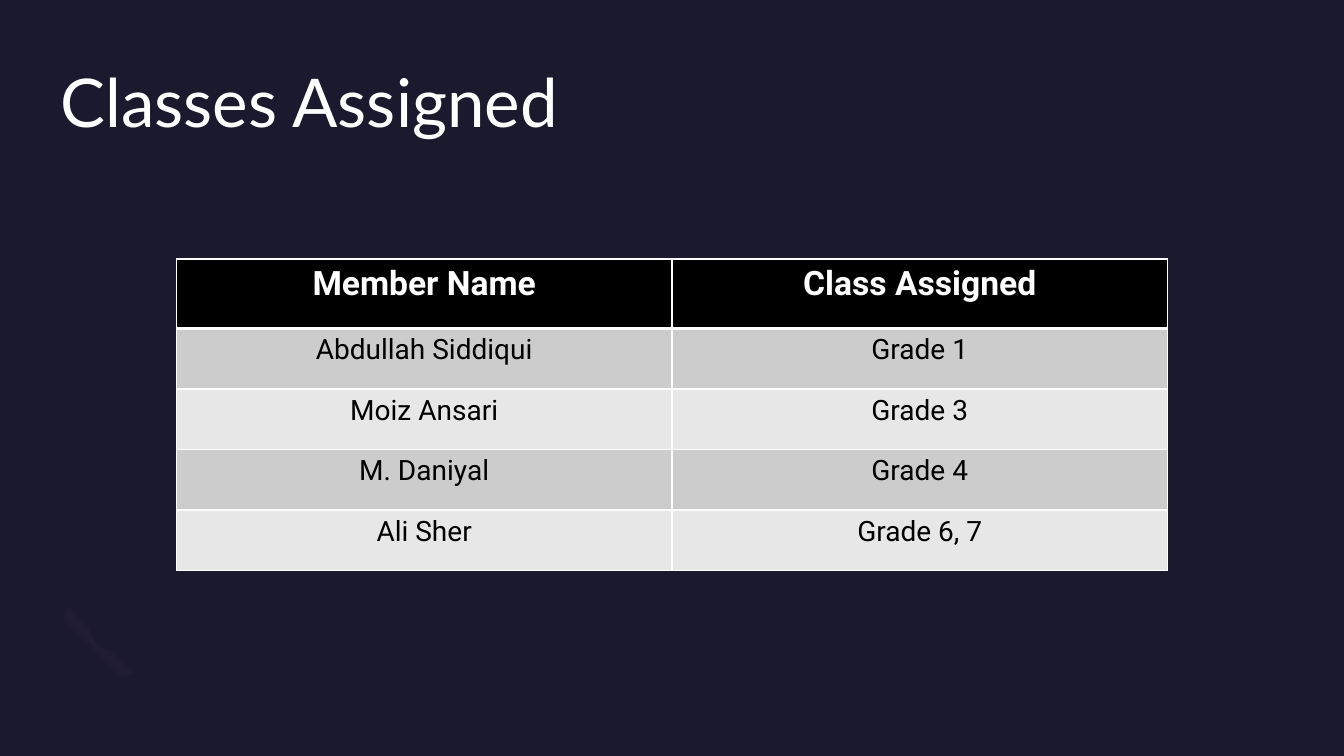
from copy import deepcopy
from math import cos, pi, sin

from lxml.etree import SubElement
from pptx import Presentation
from pptx.dml.color import RGBColor
from pptx.enum.shapes import MSO_SHAPE as Shape
from pptx.enum.text import PP_ALIGN as Align
from pptx.oxml.ns import qn
from pptx.util import Inches, Pt

# Content
TITLE = "Classes Assigned"
ASSIGNMENTS = [
    ("Member Name", "Class Assigned"),
    ("Abdullah Siddiqui", "Grade 1"),
    ("Moiz Ansari", "Grade 3"),
    ("M. Daniyal", "Grade 4"),
    ("Ali Sher", "Grade 6, 7"),
]

# Style
NAVY = RGBColor(0x1B, 0x19, 0x2E)
GLOW = RGBColor(0x20, 0x1D, 0x33)
VIOLET = RGBColor(0x2C, 0x28, 0x4A)
WHITE = RGBColor(0xFF, 0xFF, 0xFF)
BLACK = RGBColor(0, 0, 0)
BANDS = [RGBColor(0xE7, 0xE7, 0xE7), RGBColor(0xCC, 0xCC, 0xCC)]
HEADER_HEIGHT, ROW_HEIGHT = 0.69, 0.6
RING_CENTER = (1.17, 6.18)
RING_STEPS = 24


def style_run(run, font_name, size, color, bold=False):
    font = run.font
    font.name, font.size, font.bold = font_name, Pt(size), bold
    font.color.rgb = color


def add_border(cell, side, width):
    line = SubElement(cell._tc.get_or_add_tcPr(), qn(f"a:ln{side}"), w=str(Pt(width)))
    fill = SubElement(line, qn("a:solidFill"))
    SubElement(fill, qn("a:srgbClr"), val=str(WHITE))


def ring_point(angle, radius):
    """Point on a half ellipse that opens towards the upper right."""
    across, depth = radius * cos(angle), 1.14 * radius * sin(angle)
    x, y = RING_CENTER
    return (Inches(x - (across + depth) * cos(pi / 4)),
            Inches(y - (across - depth) * cos(pi / 4)))


presentation = Presentation()
presentation.slide_width, presentation.slide_height = Inches(13.33), Inches(7.5)
slide = presentation.slides.add_slide(presentation.slide_layouts[6])
slide.background.fill.solid()
slide.background.fill.fore_color.rgb = NAVY

# Corner ornament: two tilted ellipses and a half ring
for left, top in [(1.35, 6.37), (0.82, 5.83)]:
    ellipse = slide.shapes.add_shape(
        Shape.OVAL, Inches(left), Inches(top), Inches(0.06), Inches(0.26))
    ellipse.rotation = 135
    ellipse.shadow.inherit = False
    ellipse.fill.solid()
    ellipse.fill.fore_color.rgb = VIOLET
    ellipse.line.fill.background()

angles = [pi * step / RING_STEPS for step in range(RING_STEPS + 1)]
outline = [ring_point(angle, 0.51) for angle in angles]
outline += [ring_point(angle, 0.26) for angle in reversed(angles)]
builder = slide.shapes.build_freeform(*outline[0], scale=1.0)
builder.add_line_segments(outline[1:], close=True)
ring = builder.convert_to_shape()
ring.shadow.inherit = False
ring.line.fill.background()
ring.fill.gradient()
ring.fill.gradient_angle = 45
stop_list = ring._element.spPr.find(qn("a:gradFill")).find(qn("a:gsLst"))
stop_list.append(deepcopy(stop_list[0]))
for stop, position, color in zip(
        ring.fill.gradient_stops, (0.28, 0.37, 0.46), (NAVY, GLOW, NAVY)):
    stop.position = position
    stop.color.rgb = color

# Title
title = slide.shapes.add_textbox(Inches(0.6), Inches(0.6), Inches(12.13), Inches(1.46))
frame = title.text_frame
frame.word_wrap = True
frame.margin_left = frame.margin_top = frame.margin_right = frame.margin_bottom = 0
frame.text = TITLE
style_run(frame.paragraphs[0].runs[0], "Lato", 48, WHITE)

# Table
row_count, column_count = len(ASSIGNMENTS), len(ASSIGNMENTS[0])
table_height = HEADER_HEIGHT + ROW_HEIGHT * (row_count - 1)
table = slide.shapes.add_table(
    row_count, column_count, Inches(1.75), Inches(2.57),
    Inches(9.83), Inches(table_height)).table
for row_index, values in enumerate(ASSIGNMENTS):
    is_header = row_index == 0
    table.rows[row_index].height = Inches(HEADER_HEIGHT if is_header else ROW_HEIGHT)
    for column_index, value in enumerate(values):
        cell = table.cell(row_index, column_index)
        cell.text = value
        paragraph = cell.text_frame.paragraphs[0]
        paragraph.alignment = Align.CENTER
        style_run(paragraph.runs[0], "Roboto", 24 if is_header else 20,
                  WHITE if is_header else BLACK, bold=is_header)
        for side in "LRTB":
            under_header = (side, row_index) in [("B", 0), ("T", 1)]
            add_border(cell, side, 3 if under_header else 1)
        cell.fill.solid()
        cell.fill.fore_color.rgb = BLACK if is_header else BANDS[row_index % 2]

presentation.save("out.pptx")
